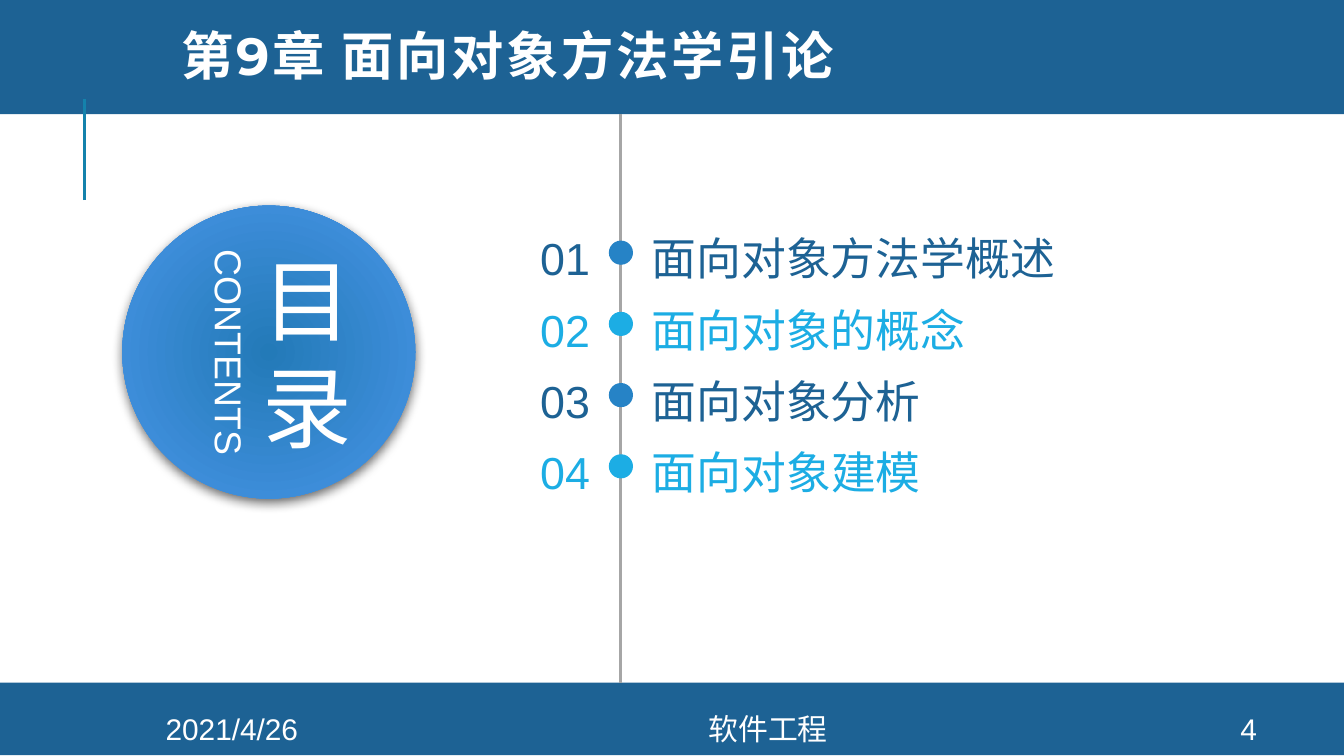
"""Build the contents slide of a chapter on object-oriented methodology."""
from lxml import etree
from pptx import Presentation
from pptx.dml.color import RGBColor
from pptx.enum.shapes import MSO_CONNECTOR, MSO_SHAPE
from pptx.enum.text import MSO_ANCHOR, MSO_AUTO_SIZE, PP_ALIGN
from pptx.oxml import parse_xml
from pptx.oxml.ns import nsdecls, qn
from pptx.util import Inches, Pt

RECTANGLE, OVAL = MSO_SHAPE.RECTANGLE, MSO_SHAPE.OVAL
STRAIGHT = MSO_CONNECTOR.STRAIGHT
TOP, MIDDLE = MSO_ANCHOR.TOP, MSO_ANCHOR.MIDDLE
GROW = MSO_AUTO_SIZE.SHAPE_TO_FIT_TEXT
LEFT, CENTER, RIGHT = PP_ALIGN.LEFT, PP_ALIGN.CENTER, PP_ALIGN.RIGHT
NAVY, BLUE, CYAN, WHITE = "1D6294", "2683C6", "1CADE4", "FFFFFF"

deck = Presentation()
deck.slide_width, deck.slide_height = Inches(10), Inches(10 * 9 / 16)
page = deck.slides.add_slide(deck.slide_layouts[6])


def add_shape(kind, place, color):
    shape = page.shapes.add_shape(kind, *map(Inches, place))
    shape.shadow.inherit = False
    shape.fill.solid()
    shape.fill.fore_color.rgb = RGBColor.from_string(color)
    shape.line.fill.background()
    return shape


def add_text(place, lines, size, color, align=LEFT, anchor=TOP,
             font="Arial", bare=False, grow=False, spacing=0):
    box = page.shapes.add_textbox(*map(Inches, place))
    frame = box.text_frame
    frame.word_wrap = True
    frame.vertical_anchor = anchor
    if bare:
        frame.margin_left = frame.margin_right = 0
        frame.margin_top = frame.margin_bottom = 0
    if grow:
        frame.auto_size = GROW
    for index, line in enumerate(lines):
        para = frame.add_paragraph() if index else frame.paragraphs[0]
        para.alignment = align
        span = para.add_run()
        span.text = line
        span.font.name = font
        span.font.size = Pt(size)
        span.font.color.rgb = RGBColor.from_string(color)
        if spacing:
            span.font._element.set("spc", str(int(spacing * 100)))
    return box


add_shape(RECTANGLE, (0, -0.03, 10, 0.88), NAVY)
add_shape(RECTANGLE, (0, 5.08, 10, 0.54), NAVY)

for x, start, end, color in ((0.63, 1.49, 0.74, "1482AC"),
                             (4.62, 0.85, 5.08, "A6A6A6")):
    line = page.shapes.add_connector(
        STRAIGHT, Inches(x), Inches(start), Inches(x), Inches(end))
    line.line.width = Pt(1.5)
    line.line.color.rgb = RGBColor.from_string(color)
    etree.SubElement(line._element.spPr, qn("a:effectLst"))

disc = add_shape(OVAL, (0.91, 1.53, 2.18, 2.18), BLUE)
disc.fill.gradient()
for stop, position, color in zip(disc.fill.gradient_stops, (0, 1),
                                 ("237AB8", "4895E7")):
    stop.position = position
    stop.color.rgb = RGBColor.from_string(color)
gradient = disc._element.spPr.find(qn("a:gradFill"))
gradient.replace(gradient.find(qn("a:lin")), parse_xml(
    f'<a:path {nsdecls("a")} path="circle"><a:fillToRect l="100000" '
    't="100000" r="100000" b="100000"/></a:path>'))
disc._element.spPr.find(qn("a:effectLst")).append(parse_xml(
    f'<a:outerShdw {nsdecls("a")} blurRad="{Pt(6)}" dist="{Pt(2)}" '
    'dir="5400000" algn="t" rotWithShape="0"><a:srgbClr val="000000">'
    '<a:alpha val="60000"/></a:srgbClr></a:outerShdw>'))

add_text((1.58, 1.61, 1.41, 2.02), ("目", "录"), 48, WHITE, CENTER, MIDDLE,
         bare=True, spacing=6)
contents = add_text((0.65, 2.4, 2.11, 0.44), ("CONTENTS",), 20, WHITE,
                    CENTER, grow=True)
contents.rotation = 90

for left, width, text in ((0.84, 1.77, "2021/4/26"),
                          (2.61, 6.21, "软件工程"),
                          (8.89, 0.8, "4")):
    add_text((left, 5.31, width, 0.23), (text,), 16, WHITE, CENTER, MIDDLE)

topics = ("面向对象方法学概述", "面向对象的概念", "面向对象分析", "面向对象建模")
for index, topic in enumerate(topics):
    shift = 0.53 * index
    dot_color, text_color = ((BLUE, NAVY), (CYAN, CYAN))[index % 2]
    topic_width = 4.01 if index == len(topics) - 1 else 3.37
    add_shape(OVAL, (4.53, 1.79 + shift, 0.18, 0.18), dot_color)
    add_text((3.8, 1.72 + shift, 0.59, 0.4), (f"{index + 1:02}",), 24,
             text_color, RIGHT, bare=True, grow=True)
    add_text((4.85, 1.72 + shift, topic_width, 0.4), (topic,), 24,
             text_color, bare=True, grow=True)

title = add_text((1.25, 0.09, 8.26, 0.72), ("第9章 面向对象方法学引论",), 28,
                 WHITE, anchor=MIDDLE, font="Montserrat", spacing=1.5)
title_para = title.text_frame.paragraphs[0]
title_para.line_spacing = 0.8
title_para.runs[0].font.bold = True

deck.save("out.pptx")
